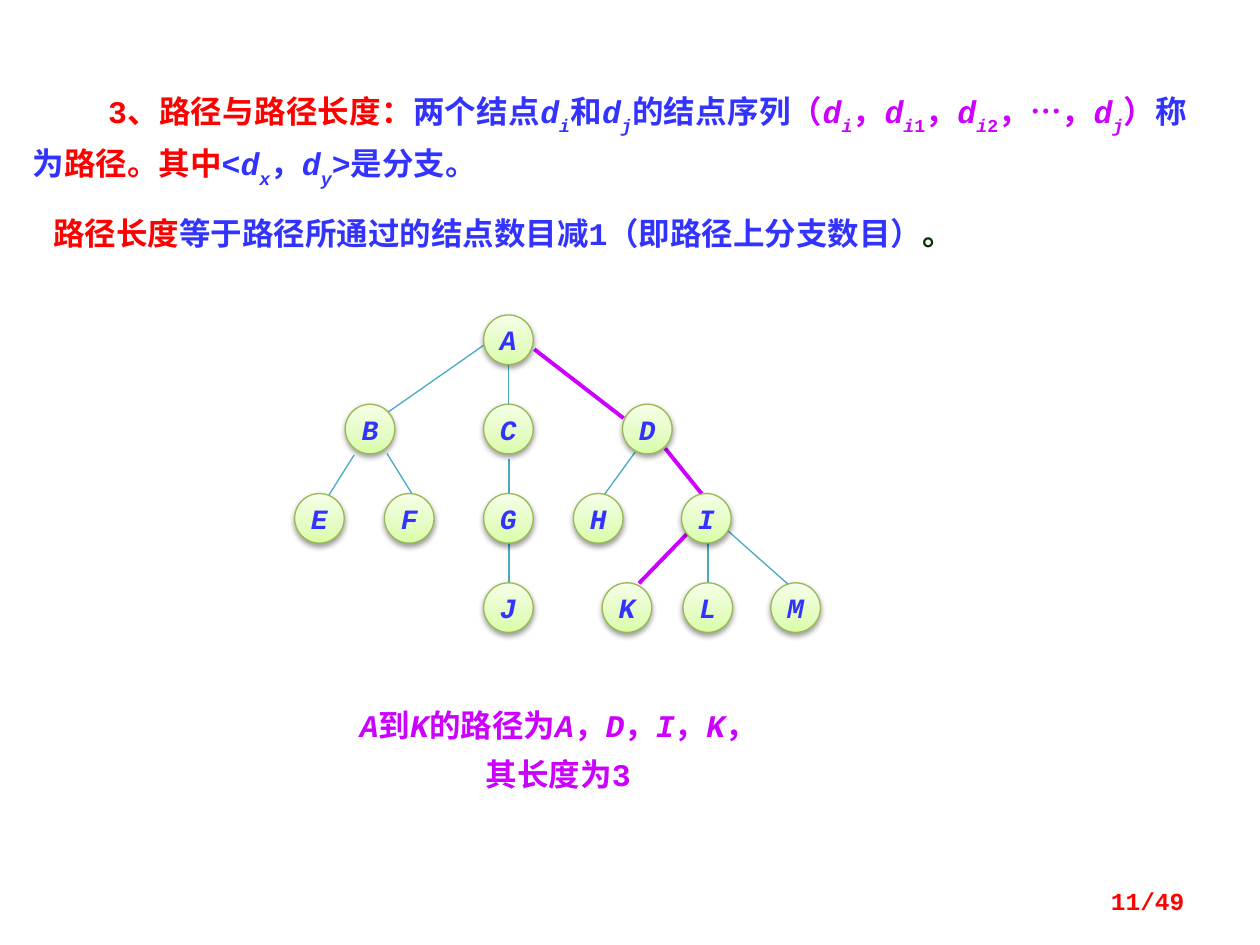
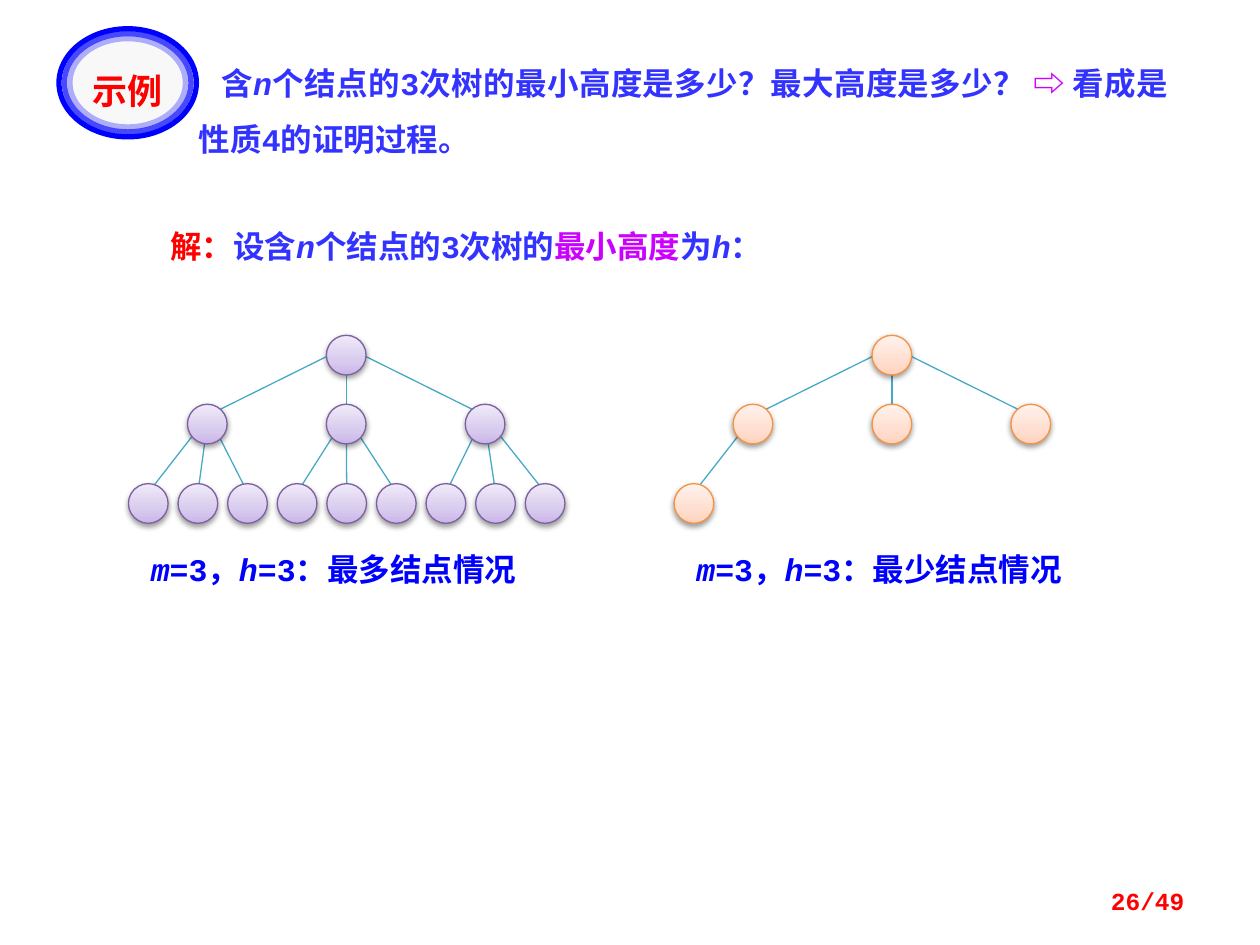
from itertools import product

from lxml.etree import SubElement
from pptx import Presentation
from pptx.dml.color import RGBColor
from pptx.enum.lang import MSO_LANGUAGE_ID
from pptx.enum.shapes import MSO_CONNECTOR, MSO_SHAPE
from pptx.enum.text import MSO_ANCHOR, PP_ALIGN
from pptx.oxml.ns import qn
from pptx.util import Cm, Pt

RED, BLUE, PURPLE, NAVY = "FF0000", "3333FF", "CC00FF", "0000FF"
TEAL, DARK, PALE = "46AAC5", "003300", "F8F8F8"
GREEN_NODE = ("98B955", "DAFDA7", "E4FCC2", "F5FFE7")
VIOLET_NODE = ("7D60A0", "C9B5E8", "D8CBEE", "F0EAF9")
ORANGE_NODE = ("F69240", "FFD2BD", "FFDED0", "FFF2ED")
STOPS = (0, 35000, 100000)
LATIN, ASIAN = "Courier New", "Noto Sans CJK JP"

LETTERS = [
    {"A": 9.75},
    {"B": 6.96, "C": 9.75, "D": 12.55},
    {"E": 5.94, "F": 7.75, "G": 9.75, "H": 11.56, "I": 13.74},
    {"J": 9.75, "K": 12.14, "L": 13.77, "M": 15.54},
]
BRANCHES = [
    (9.75, 6.96, 7.72, 8.38), (10.25, 7.34, 10.25, 8.15),
    (7.14, 9.17, 6.63, 9.98), (7.8, 9.14, 8.31, 9.96),
    (10.26, 9.25, 10.26, 9.96), (10.26, 10.95, 10.26, 11.76),
    (12.8, 9.12, 12.19, 9.96), (14.27, 10.95, 14.27, 11.76),
    (14.66, 10.69, 15.9, 11.79),
]
PATH_TO_K = [
    (10.77, 7.04, 12.57, 8.43), (13.41, 9.04, 14.15, 9.96),
    (13.87, 10.74, 12.88, 11.76),
]


def color(value):
    """Turn a hex string into a colour."""
    return RGBColor.from_string(value)


def assign(target, values):
    """Set each named value on the target."""
    for name, value in values.items():
        setattr(target, name, value)


class Deck:
    """Holds the style and the current slide."""

    def __init__(self):
        """Start an empty presentation."""
        self.presentation = Presentation()
        assign(self.presentation, {"slide_width": Cm(25.4), "slide_height": Cm(19.05)})
        self.slide = None

    def add_slide(self, number):
        """Add a blank slide with its page number."""
        self.slide = self.presentation.slides.add_slide(self.presentation.slide_layouts[6])
        self.text((18.21, 17.65, 5.92, 1.02), [[(RED, f"{number}/49")]], size=14,
                  anchor=MSO_ANCHOR.MIDDLE, formats={"alignment": PP_ALIGN.RIGHT})

    def run(self, paragraph, text, size, hex_color, italic=False, subscript=False, latin=LATIN):
        """Add one bold run."""
        run = paragraph.add_run()
        run.text = text
        assign(run.font, {"name": latin, "size": Pt(size), "bold": True, "italic": italic,
                          "language_id": MSO_LANGUAGE_ID.SIMPLIFIED_CHINESE})
        run.font.color.rgb = color(hex_color)
        properties = run.font._element
        SubElement(properties, qn("a:ea"), typeface=ASIAN)
        if subscript:
            properties.set("baseline", "-30000")

    def marked(self, paragraph, text, size, hex_color, latin):
        """Add text where * toggles italic and _ toggles subscript."""
        subscript = False
        for turn, part in enumerate(text.split("*")):
            for index, piece in enumerate(part.split("_")):
                subscript ^= index > 0
                if piece:
                    self.run(paragraph, piece, size, hex_color, turn % 2 == 1, subscript, latin)

    def text(self, place, paragraphs, size=18, anchor=MSO_ANCHOR.TOP, formats=None,
             gap=0, indents=(), latin=LATIN):
        """Add a text box of coloured, marked paragraphs."""
        frame = self.slide.shapes.add_textbox(*map(Cm, place)).text_frame
        assign(frame, {"word_wrap": True, "vertical_anchor": anchor})
        for index, pieces in enumerate(paragraphs):
            paragraph = frame.add_paragraph() if index else frame.paragraphs[0]
            assign(paragraph, formats or {})
            if index:
                paragraph.space_before = Pt(gap)
            if indents:
                paragraph._p.get_or_add_pPr().set("indent", str(Cm(indents[index])))
            for hex_color, content in pieces:
                self.marked(paragraph, content, size, hex_color, latin)

    def line(self, ends, hex_color=TEAL, width=0.75):
        """Add a straight line."""
        connector = self.slide.shapes.add_connector(MSO_CONNECTOR.STRAIGHT, *map(Cm, ends))
        connector.line.color.rgb = color(hex_color)
        connector.line.width = Pt(width)
        SubElement(connector._element.spPr, qn("a:effectLst"))

    def ellipse(self, place, outline, width):
        """Add an ellipse with an outline and no shadow."""
        shape = self.slide.shapes.add_shape(MSO_SHAPE.OVAL, *map(Cm, place))
        shape.shadow.inherit = False
        shape.line.color.rgb = color(outline)
        shape.line.width = Pt(width)
        return shape

    def node(self, left, top, diameter, palette, letter=""):
        """Add a shaded tree node."""
        outline, *shades = palette
        shape = self.ellipse((left, top, diameter, diameter), outline, 0.75)
        properties = shape._element.spPr
        shape.fill.gradient()
        shape.fill.gradient_angle = 90
        stop_list = properties.find(qn("a:gradFill")).find(qn("a:gsLst"))
        stop_list.clear()
        for position, shade in zip(STOPS, shades):
            stop = SubElement(stop_list, qn("a:gs"), pos=str(position))
            SubElement(stop, qn("a:srgbClr"), val=shade)
        shadow = SubElement(properties.find(qn("a:effectLst")), qn("a:outerShdw"),
                            blurRad="40000", dist="20000", dir="5400000", rotWithShape="0")
        black = SubElement(shadow, qn("a:srgbClr"), val="000000")
        SubElement(black, qn("a:alpha"), val="38000")
        if letter:
            assign(shape.text_frame, {"word_wrap": False, "vertical_anchor": MSO_ANCHOR.MIDDLE})
            paragraph = shape.text_frame.paragraphs[0]
            paragraph.alignment = PP_ALIGN.CENTER
            self.run(paragraph, letter, 16, BLUE, italic=True)

    def ternary_tree(self, offset, palette, leaves, caption):
        """Add a three-level ternary tree and its caption."""
        root = 6.98 + offset
        children = [root + 2.8 * turn for turn in (-1, 0, 1)]
        for turn, child in zip((-1, 0, 1), children):
            self.line((root + 0.3 * turn, 7.14, child - 0.1 * turn, 8.33))
        leaf_centers = [2.99 + offset + index for index in range(leaves)]
        for (child, turn), leaf in zip(product(children, (-1, 0, 1)), leaf_centers):
            self.line((child + 0.1 * turn, 8.53, leaf, 9.93))
        for top, centers in ((6.76, [root]), (8.15, children), (9.75, leaf_centers)):
            for center in centers:
                self.node(center - 0.4, top, 0.8, palette)
        self.text((2.79 + offset, 10.97, 9.4, 1.02), [[(NAVY, f"*m*=3，*h*=3：{caption}")]])

    def badge(self, label):
        """Add the ringed example badge."""
        for ring, opacity in enumerate((100, 70, 30)):
            inset_x, inset_y = 0.11 * ring, 0.1 * ring
            place = (1.19 + inset_x, 0.58 + inset_y, 2.77 - 2 * inset_x, 2.18 - 2 * inset_y)
            shape = self.ellipse(place, NAVY, 3)
            if ring:
                shape.fill.background()
                tint = shape.line._ln.find(qn("a:solidFill"))[0]
                SubElement(tint, qn("a:alpha"), val=str(opacity * 1000))
            else:
                shape.fill.solid()
                shape.fill.fore_color.rgb = color(PALE)
        self.text((1.35, 1.27, 2.44, 0.99), [[(RED, label)]], size=20, latin=ASIAN,
                  formats={"alignment": PP_ALIGN.CENTER})


def path_slide(deck):
    """Build the slide on paths and path length."""
    deck.add_slide(11)
    definition = [
        (RED, "3、路径与路径长度："), (BLUE, "两个结点*d_i_*和*d_j_*的结点序列"),
        (PURPLE, "（*d_i_*，*d_i*1_，*d_i*2_，…，*d_j_*）"), (BLUE, "称为"),
        (RED, "路径。其中"), (BLUE, "<*d_x_*，*d_y_*>是分支。"),
    ]
    length = [(RED, "路径长度"), (BLUE, "等于路径所通过的结点数目减1（即路径上分支数目）"),
              (DARK, "。")]
    deck.text((0.41, 1.57, 23.77, 3.68), [definition, length], gap=6, indents=(1.52, 0.41),
              formats={"alignment": PP_ALIGN.JUSTIFY, "line_spacing": Pt(30)})
    for ends in BRANCHES:
        deck.line(ends)
    for ends in PATH_TO_K:
        deck.line(ends, PURPLE, 2.25)
    for level, row in enumerate(LETTERS):
        for letter, left in row.items():
            deck.node(left, 6.35 + 1.8 * level, 1, GREEN_NODE, letter)
    deck.text((6.76, 14.1, 8.99, 2.18),
              [[(PURPLE, "*A*到*K*的路径为*A*，*D*，*I*，*K*，")], [(PURPLE, "其长度为3")]],
              gap=6.5, formats={"alignment": PP_ALIGN.CENTER})


def height_slide(deck):
    """Build the slide on the height of a ternary tree."""
    deck.add_slide(26)
    question = [(BLUE, "含*n*个结点的3次树的最小高度是多少？最大高度是多少？ "),
                (PURPLE, "⇨ "), (BLUE, "看成是性质4的证明过程。")]
    deck.text((3.76, 0.79, 20.04, 2.41), [question], indents=(0.45,),
              formats={"alignment": PP_ALIGN.JUSTIFY, "line_spacing": Pt(32)})
    solution = [(RED, "解："), (BLUE, "设含*n*个结点的3次树的"), (PURPLE, "最小高度"),
                (BLUE, "为*h*：")]
    deck.text((3.18, 4.37, 14.68, 1.04), [solution], formats={"line_spacing": 1.1})
    deck.ternary_tree(0, VIOLET_NODE, 9, "最多结点情况")
    deck.ternary_tree(11, ORANGE_NODE, 1, "最少结点情况")
    deck.badge("示例")


def main():
    """Build and save the presentation."""
    deck = Deck()
    path_slide(deck)
    height_slide(deck)
    deck.presentation.save("out.pptx")


if __name__ == "__main__":
    main()
